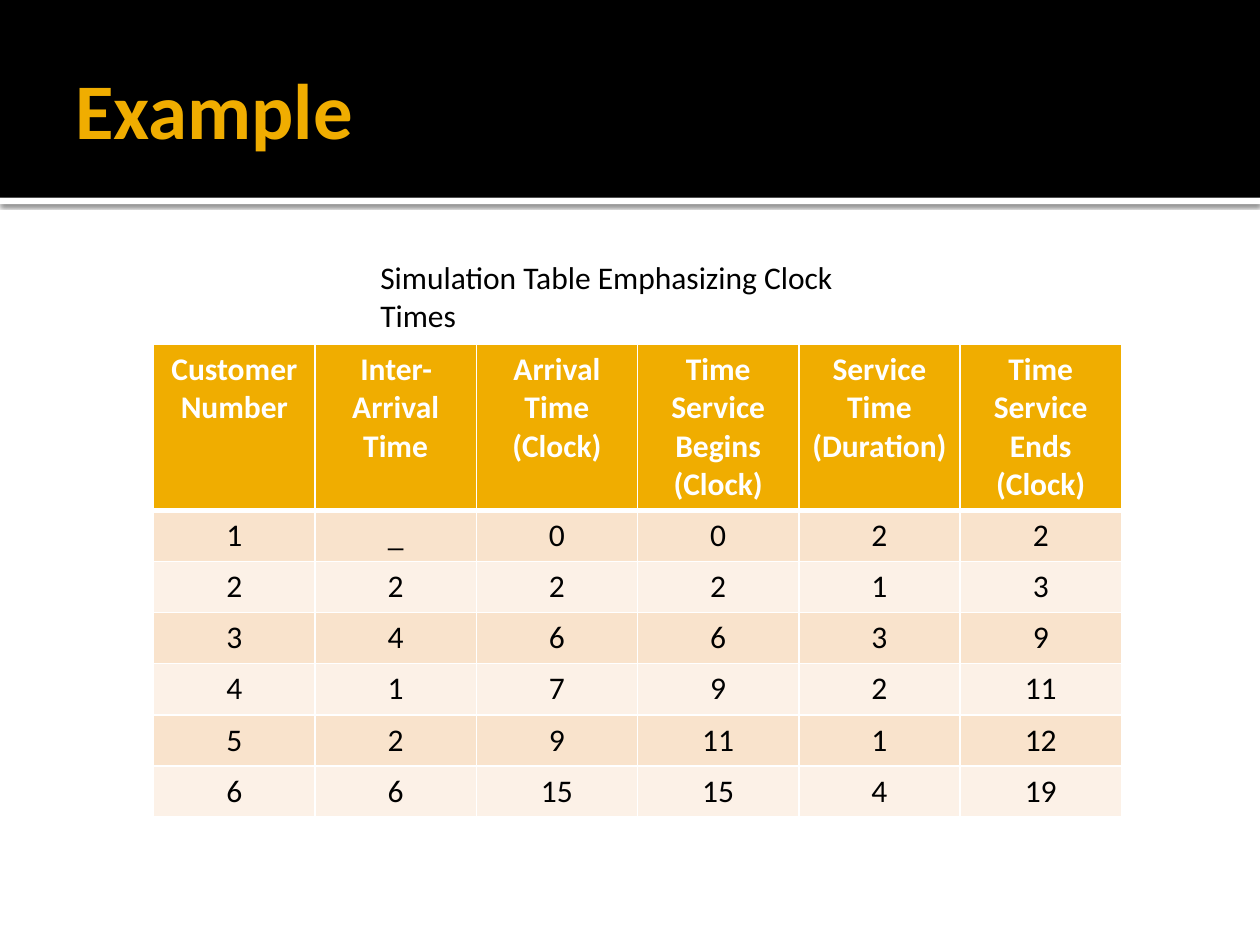
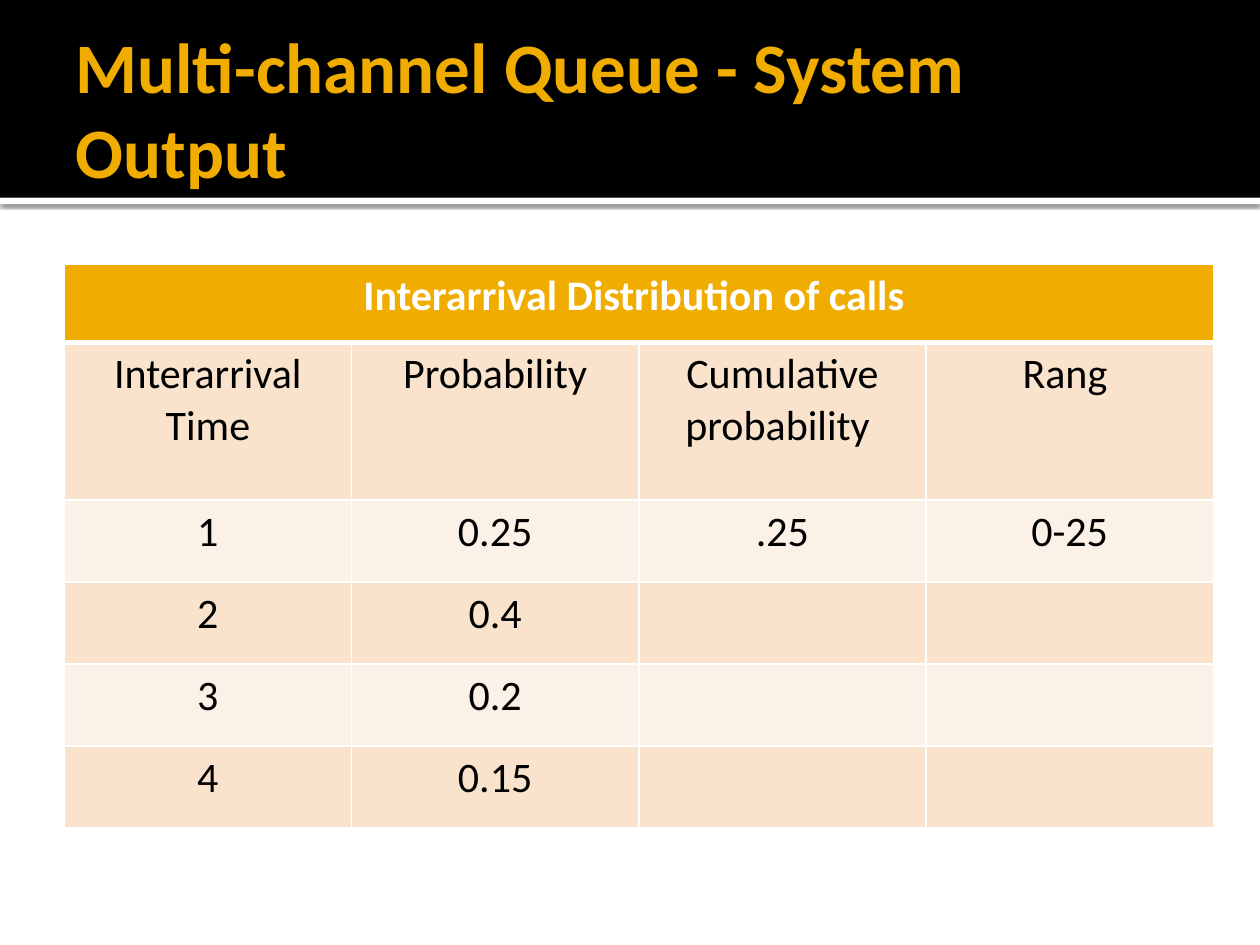
from dataclasses import dataclass
from lxml import etree
from pptx import Presentation, util as u
from pptx.dml import color
from pptx.enum import shapes, text
from pptx.oxml import ns


@dataclass(frozen=True)
class Theme:
    font: str = "Calibri"
    accent: str = "F0AD00"
    black: str = "000000"
    white: str = "FFFFFF"
    stripes: tuple = ("F9E3CC", "FCF1E7")
    caption_size: float = 18
    band_height: float = 1.57
    rule_height: float = 0.05
    width: float = 10
    height: float = 7.5


T = Theme()

SLIDES = [
    {
        "title": "Example", "title_size": 45,
        "caption": ("Simulation Table Emphasizing Clock Times", (2.92, 2, 4.33, 0.42)),
        "left": 1.22, "top": 2.73, "col_width": 1.28, "size": 18,
        "heights": [1.31] + [0.4] * 6,
        "rows": [
            ["Customer Number", "Inter-Arrival Time", "Arrival Time\n(Clock)",
             "Time Service Begins\n(Clock)", "Service Time\n(Duration)",
             "Time Service Ends\n(Clock)"],
            ["1", "_", "0", "0", "2", "2"],
            ["2", "2", "2", "2", "1", "3"],
            ["3", "4", "6", "6", "3", "9"],
            ["4", "1", "7", "9", "2", "11"],
            ["5", "2", "9", "11", "1", "12"],
            ["6", "6", "15", "15", "4", "19"],
        ],
    },
    {
        "title": "Multi-channel Queue - System Output", "title_size": 40.5,
        "left": 0.51, "top": 2.1, "col_width": 2.28, "size": 24,
        "heights": [0.62, 1.25] + [0.65] * 4,
        "rows": [
            ["Interarrival Distribution of calls "],
            ["Interarrival Time", "Probability", "Cumulative probability ", "Rang "],
            ["1", "0.25", ".25", "0-25"],
            ["2", "0.4", "", ""],
            ["3", "0.2", "", ""],
            ["4", "0.15", "", ""],
        ],
    },
]


def rgb(value):
    return color.RGBColor.from_string(value)


def inches(*values):
    return [u.Inches(v) for v in values]


def style(tf, size, ink, bold=False, align=text.PP_ALIGN.LEFT):
    for p in tf.paragraphs:
        p.alignment = align
        for font in [p.font] + [r.font for r in p.runs]:
            font.name, font.size, font.bold = T.font, u.Pt(size), bold
            font.color.rgb = rgb(ink)


def add_shadow(sp):
    effects = sp._element.spPr.find(ns.qn("a:effectLst"))
    shadow = etree.SubElement(effects, ns.qn("a:outerShdw"), blurRad=str(u.Pt(2.5)),
                              dist=str(u.Pt(0.8)), dir="5400000", algn="tl", rotWithShape="0")
    ink = etree.SubElement(shadow, ns.qn("a:srgbClr"), val=T.black)
    etree.SubElement(ink, ns.qn("a:alpha"), val="60000")


def add_bands(s):
    bands = [(T.band_height, T.rule_height, T.white), (0, T.band_height, T.black)]
    for i, (top, height, fill) in enumerate(bands):
        sp = s.shapes.add_shape(shapes.MSO_SHAPE.RECTANGLE, *inches(0, top, T.width, height))
        sp.shadow.inherit = False
        sp.fill.solid()
        sp.fill.fore_color.rgb = rgb(fill)
        sp.line.fill.background()
        if fill == T.white:
            add_shadow(sp)
        s.shapes._spTree.insert(2 + i, sp._element)


def set_title(s, title, size):
    sp = s.shapes.title
    sp.left, sp.top, sp.width, sp.height = inches(0.5, 0.17, 9, 1.37)
    tf = sp.text_frame
    tf.text = title
    tf.word_wrap, tf.auto_size = True, text.MSO_AUTO_SIZE.NONE
    tf.vertical_anchor = text.MSO_ANCHOR.MIDDLE
    tf.margin_left, tf.margin_top, tf.margin_right, tf.margin_bottom = inches(0.1, 0.05, 0.05, 0.05)
    style(tf, size, T.accent, bold=True)


def add_caption(s, caption, box):
    tf = s.shapes.add_textbox(*inches(*box)).text_frame
    tf.text = caption
    tf.word_wrap, tf.auto_size = True, text.MSO_AUTO_SIZE.SHAPE_TO_FIT_TEXT
    style(tf, T.caption_size, T.black)


def set_borders(cell, row):
    widths = {"L": 1, "R": 1, "T": 3 if row == 1 else 1, "B": 3 if row == 0 else 1}
    tcPr = cell._tc.get_or_add_tcPr()
    for side, width in widths.items():
        ln = etree.SubElement(tcPr, ns.qn("a:ln" + side), w=str(u.Pt(width)))
        fill = etree.SubElement(ln, ns.qn("a:solidFill"))
        etree.SubElement(fill, ns.qn("a:srgbClr"), val=T.white)


def add_grid(s, d):
    rows, heights = d["rows"], d["heights"]
    cols = len(rows[-1])
    box = inches(d["left"], d["top"], d["col_width"] * cols, sum(heights))
    table = s.shapes.add_table(len(rows), cols, *box).table
    for col in table.columns:
        col.width = u.Inches(d["col_width"])
    for i, (row, height) in enumerate(zip(rows, heights)):
        table.rows[i].height = u.Inches(height)
        header = i == 0
        for j in range(cols):
            cell = table.cell(i, j)
            set_borders(cell, i)
            cell.fill.solid()
            cell.fill.fore_color.rgb = rgb(T.accent if header else T.stripes[(i - 1) % 2])
            cell.text_frame.text = row[j] if j < len(row) else ""
            style(cell.text_frame, d["size"], T.white if header else T.black,
                  header, text.PP_ALIGN.CENTER)
        if len(row) == 1:
            table.cell(i, 0).merge(table.cell(i, cols - 1))


prs = Presentation()
prs.slide_width, prs.slide_height = inches(T.width, T.height)
for d in SLIDES:
    s = prs.slides.add_slide(prs.slide_layouts[5])
    add_bands(s)
    set_title(s, d["title"], d["title_size"])
    add_grid(s, d)
    if "caption" in d:
        add_caption(s, *d["caption"])
prs.save("out.pptx")
